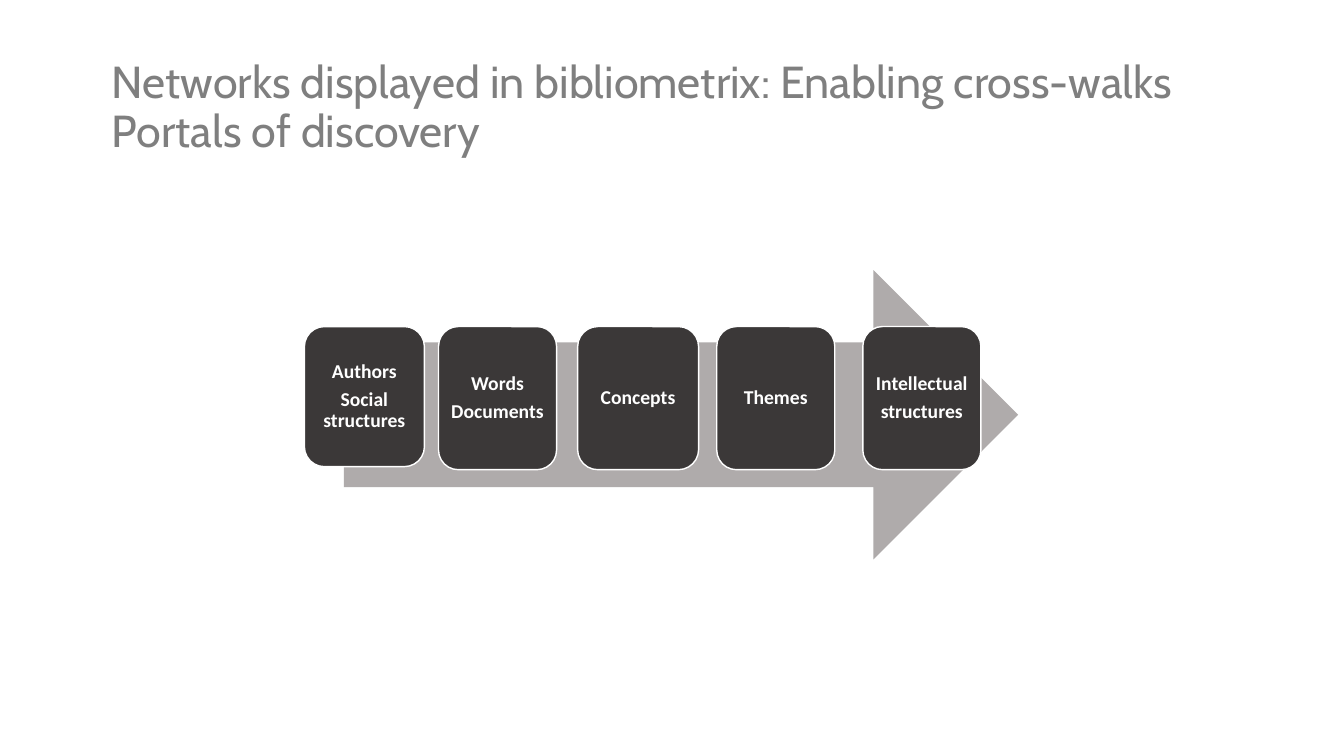
from pptx import Presentation
from pptx.dml.color import RGBColor
from pptx.enum.shapes import MSO_SHAPE
from pptx.enum.text import MSO_ANCHOR, PP_ALIGN
from pptx.util import Inches, Pt

ARROW = MSO_SHAPE.RIGHT_ARROW
CARD = MSO_SHAPE.ROUNDED_RECTANGLE
MIDDLE = MSO_ANCHOR.MIDDLE
LEFT, CENTER = PP_ALIGN.LEFT, PP_ALIGN.CENTER

WHITE = RGBColor(0xFF, 0xFF, 0xFF)
TITLE_GRAY = RGBColor(0x7F, 0x7F, 0x7F)
ARROW_GRAY = RGBColor(0xAF, 0xAB, 0xAB)
CARD_GRAY = RGBColor(0x3B, 0x38, 0x38)

TITLE = "Networks displayed in bibliometrix: Enabling cross-walks\nPortals of discovery"
CARD_TOP, CARD_WIDTH, CARD_HEIGHT = 43.2, 8.78, 18.93
CARDS = [
    (22.65, 8.93, 18.53, ["Authors", "Social structures"]),
    (32.63, CARD_WIDTH, CARD_HEIGHT, ["Words", "Documents"]),
    (42.98, 9, CARD_HEIGHT, ["Concepts"]),
    (53.33, CARD_WIDTH, CARD_HEIGHT, ["Themes"]),
    (64.2, CARD_WIDTH, CARD_HEIGHT, ["Intellectual", "structures"]),
]


def write_text(frame, paragraphs, *, font, size, color, bold=False, align=LEFT, space_after=0):
    frame.word_wrap = True
    frame.vertical_anchor = MIDDLE
    for index, text in enumerate(paragraphs):
        paragraph = frame.add_paragraph() if index else frame.paragraphs[0]
        paragraph.text = text
        paragraph.alignment = align
        paragraph.line_spacing = 0.9
        paragraph.space_after = Pt(space_after)
        for run in paragraph.runs:
            run.font.name = font
            run.font.size = Pt(size)
            run.font.bold = bold
            run.font.color.rgb = color


class NetworkSlide:
    """Draws styled elements placed in percent of the slide's size."""

    title_style = dict(font="Cabin", size=32, color=TITLE_GRAY)
    card_style = dict(font="Calibri", size=14, color=WHITE, bold=True,
                      align=CENTER, space_after=4.9)
    card_inset = Inches(0.06)

    def __init__(self, presentation):
        self.width = presentation.slide_width
        self.height = presentation.slide_height
        self.slide = presentation.slides.add_slide(presentation.slide_layouts[6])

    def place(self, left, top, width, height):
        return (round(left * self.width / 100), round(top * self.height / 100),
                round(width * self.width / 100), round(height * self.height / 100))

    def title(self, text, *box):
        shape = self.slide.shapes.add_textbox(*self.place(*box))
        write_text(shape.text_frame, [text], **self.title_style)

    def shape(self, kind, fill, *box):
        shape = self.slide.shapes.add_shape(kind, *self.place(*box))
        shape.shadow.inherit = False
        shape.fill.solid()
        shape.fill.fore_color.rgb = fill
        shape.line.fill.background()
        return shape

    def arrow(self, *box):
        self.shape(ARROW, ARROW_GRAY, *box)

    def card(self, paragraphs, *box):
        shape = self.shape(CARD, CARD_GRAY, *box)
        shape.line.color.rgb = WHITE
        shape.line.width = Pt(1)
        frame = shape.text_frame
        frame.margin_left = frame.margin_right = self.card_inset
        frame.margin_top = frame.margin_bottom = self.card_inset
        write_text(frame, paragraphs, **self.card_style)


def main():
    presentation = Presentation()
    presentation.slide_width = Inches(13.33)
    presentation.slide_height = Inches(7.5)
    slide = NetworkSlide(presentation)
    slide.arrow(25.58, 35.73, 50.18, 38.27)
    for left, width, height, paragraphs in CARDS:
        slide.card(paragraphs, left, CARD_TOP, width, height)
    slide.title(TITLE, 7.58, 4.67, 86.27, 19.33)
    presentation.save("out.pptx")


if __name__ == "__main__":
    main()
